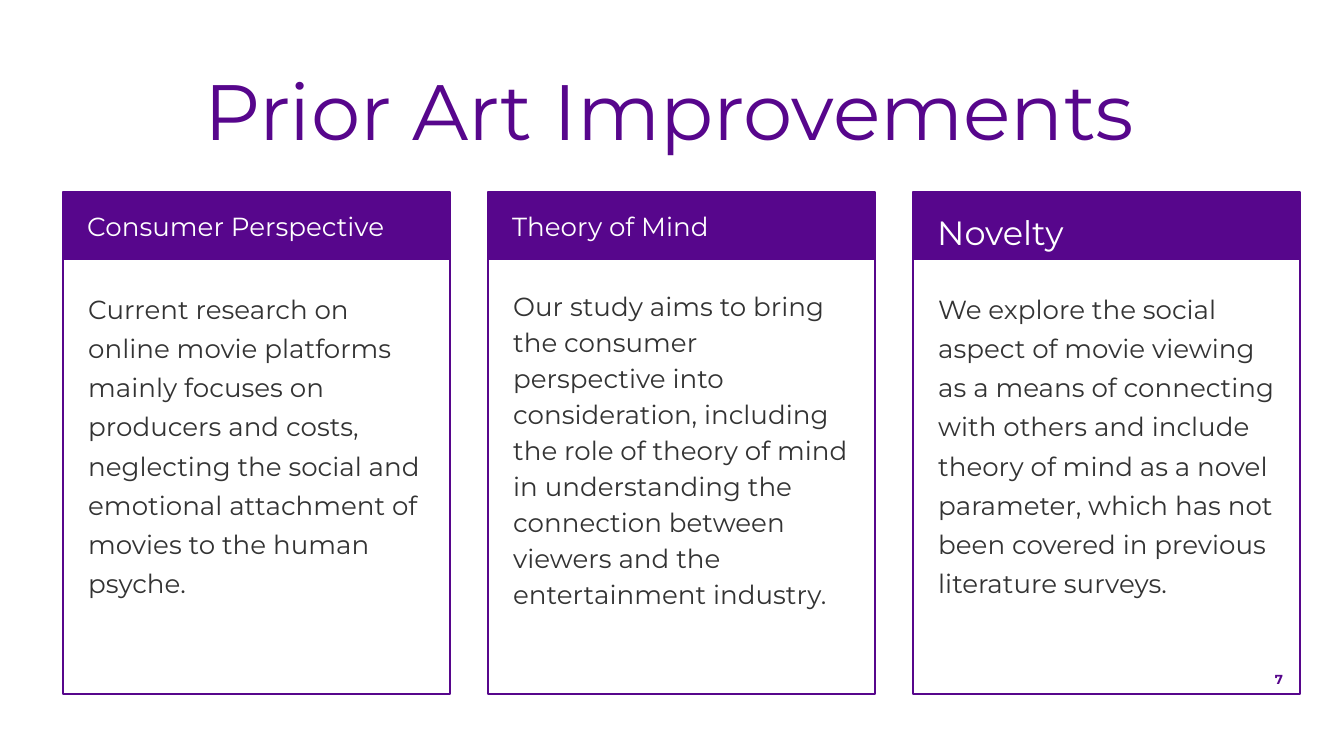
from pptx import Presentation
from pptx import util as u
from pptx.dml.color import RGBColor
from pptx.enum import shapes, text

PX = u.Inches(10) / 1344
FONT = "Montserrat"
COLORS = {"purple": "57068C", "white": "FFFFFF", "body": "333333"}

deck = Presentation()
deck.slide_width, deck.slide_height = round(1344 * PX), round(756 * PX)
slide = deck.slides.add_slide(deck.slide_layouts[6])


def add_text(words, box, size, color, spacing=1.0, align=text.PP_ALIGN.LEFT, bold=False):
    label = slide.shapes.add_textbox(*(round(n * PX) for n in box))
    frame = label.text_frame
    frame.word_wrap = True
    frame.margin_left = frame.margin_right = u.Inches(0.1)
    frame.margin_top = frame.margin_bottom = u.Inches(0.1)
    frame.text = words
    paragraph = frame.paragraphs[0]
    paragraph.alignment = align
    paragraph.line_spacing = spacing
    font = paragraph.runs[0].font
    font.name, font.size, font.bold = FONT, u.Pt(size), bold
    font.color.rgb = RGBColor.from_string(COLORS[color])


def add_panel(box, filled):
    """Add a solid purple rectangle, or a hollow one with a purple outline."""
    panel = slide.shapes.add_shape(
        shapes.MSO_SHAPE.RECTANGLE, *(round(n * PX) for n in box))
    panel.shadow.inherit = False
    purple = RGBColor.from_string(COLORS["purple"])
    if filled:
        panel.fill.solid()
        panel.fill.fore_color.rgb = purple
        panel.line.fill.background()
    else:
        panel.fill.background()
        panel.line.color.rgb = purple
        panel.line.width = u.Pt(0.75)


add_text("7", (679, 664, 617, 46), 7, "purple",
         align=text.PP_ALIGN.RIGHT, bold=True)

# heading, heading size, body, body line spacing
columns = [
    ("Consumer Perspective", 14,
     "Current research on online movie platforms mainly focuses on producers "
     "and costs, neglecting the social and emotional attachment of movies to "
     "the human psyche.", 1.25),
    ("Theory of Mind", 14,
     "Our study aims to bring the consumer perspective into consideration, "
     "including the role of theory of mind in understanding the connection "
     "between viewers and the entertainment industry.", 1.15),
    ("Novelty", 18,
     "We explore the social aspect of movie viewing as a means of connecting "
     "with others and include theory of mind as a novel parameter, which has "
     "not been covered in previous literature surveys.", 1.25),
]
LEFT, TOP, WIDTH, PITCH = 63, 192, 387, 425

for index, (heading, heading_size, body, body_spacing) in enumerate(columns):
    left = LEFT + index * PITCH
    add_panel((left, TOP, WIDTH, 68), filled=True)
    add_panel((left, TOP, WIDTH, 502), filled=False)
    add_text(heading, (left + 11, TOP, 367, 67), heading_size, "white", 1.15)
    add_text(body, (left + 12, TOP + 80, 364, 411), 14, "body", body_spacing)

add_text("Prior Art Improvements", (46, 63, 1247, 120), 42, "purple", 0.85,
         text.PP_ALIGN.CENTER)

deck.save("out.pptx")
